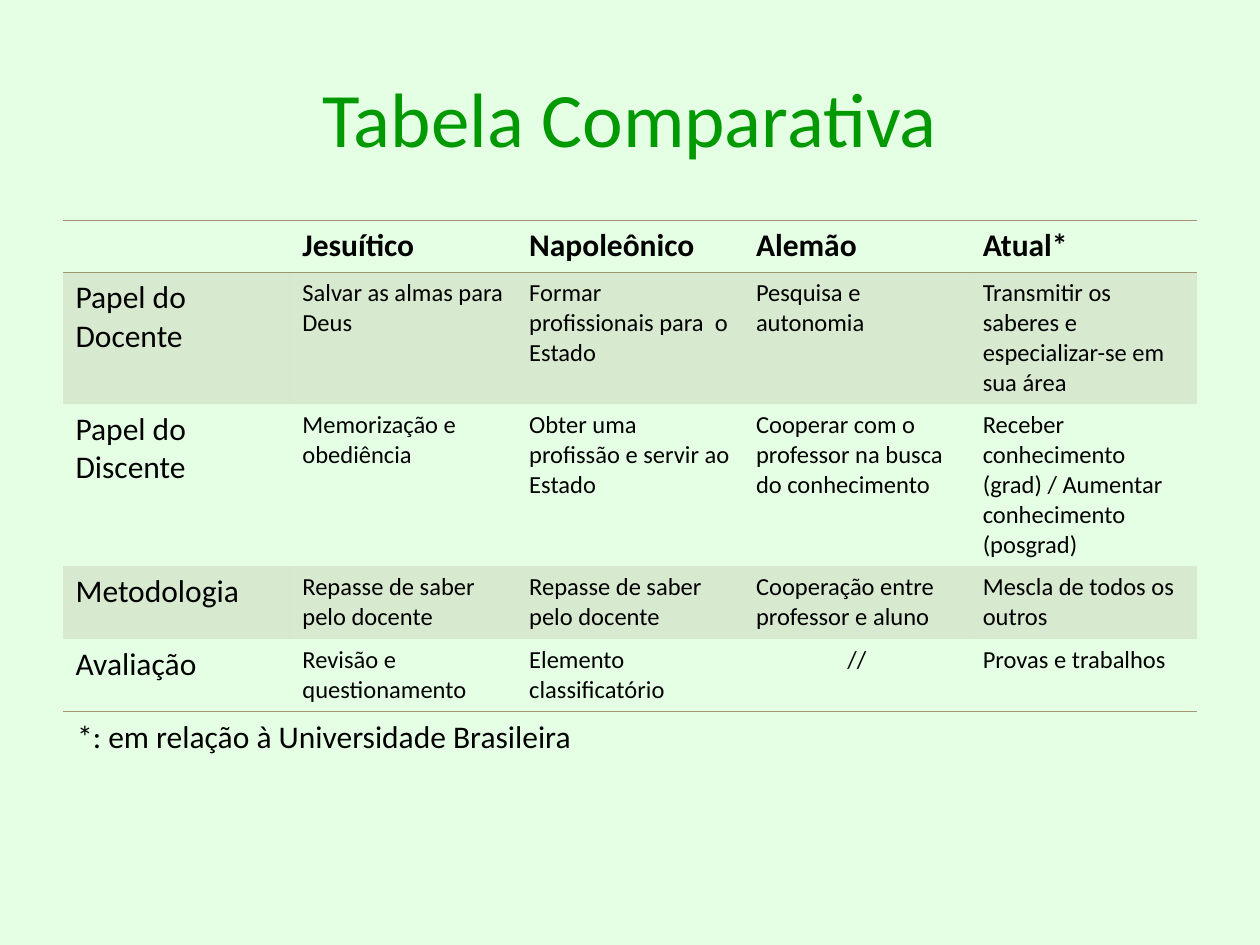
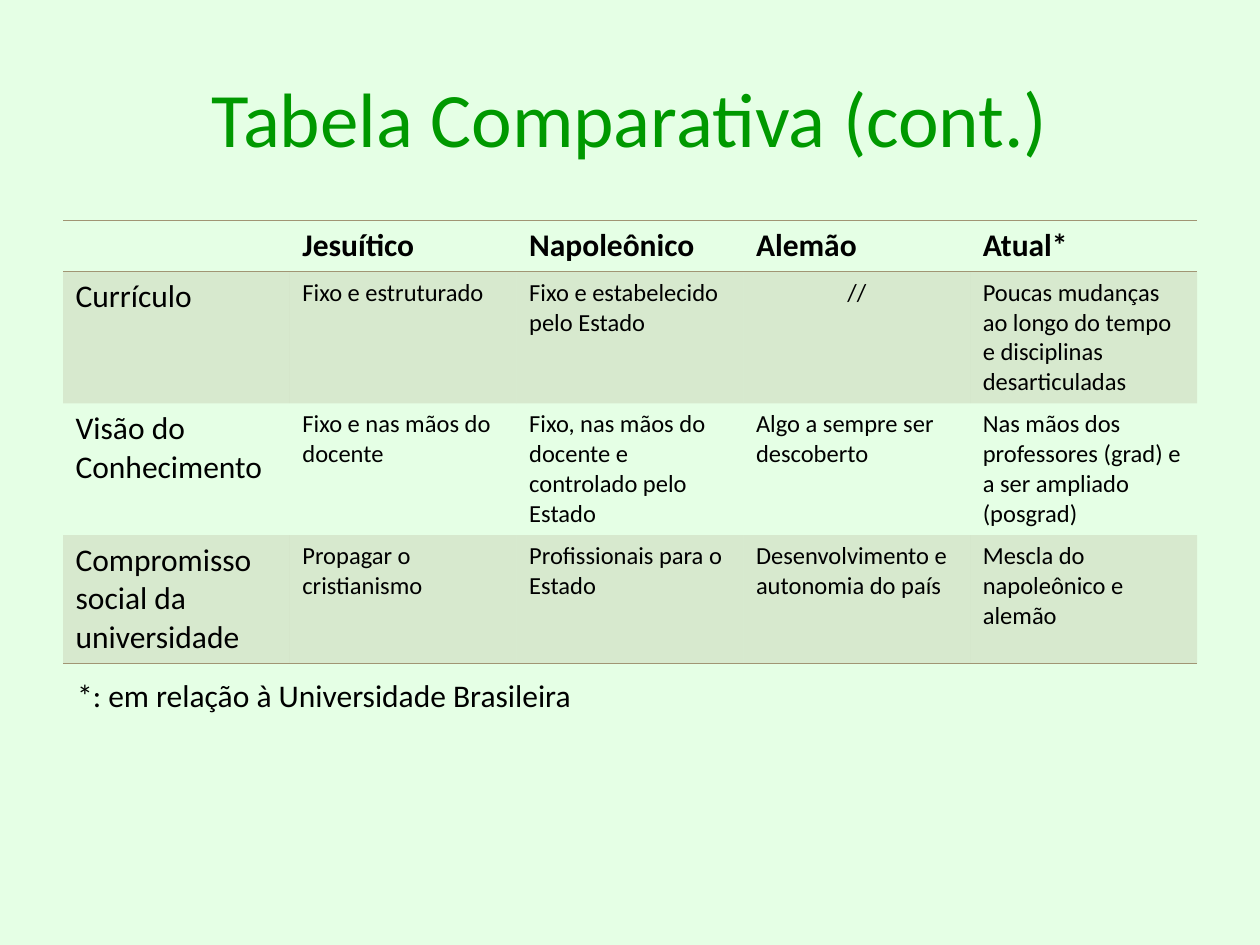
"""Build two slides comparing university models in tables."""
from lxml.etree import SubElement
from pptx import Presentation
from pptx.dml.color import RGBColor
from pptx.enum.text import MSO_ANCHOR, PP_ALIGN
from pptx.oxml import parse_xml
from pptx.oxml.ns import nsdecls, qn
from pptx.util import Pt

FONT = "Calibri"
PAGE_GREEN = "E5FFE5"
TITLE_GREEN = "009900"
BLACK = "000000"
BAND = "A19574"
NO_GRID_STYLE = "{2D5ABB26-0587-4C30-8999-92F81FD0307C}"
LEFT, TABLE_TOP, TABLE_WIDTH = 36, 126, 648
HEADINGS = ["", "Jesuítico", "Napoleônico", "Alemão", "Atual*"]
FOOTNOTE = "*: em relação à Universidade Brasileira"

PAGES = [
    {
        "title": "Tabela Comparativa",
        "heights": [29.6, 75.4, 92.6, 41.5, 41.5],
        "note_top": 406,
        "rows": [
            ["Papel do Docente", "Salvar as almas para Deus",
             "Formar profissionais para  o Estado", "Pesquisa e autonomia",
             "Transmitir os saberes e especializar-se em sua área"],
            ["Papel do Discente", "Memorização e obediência",
             "Obter uma profissão e servir ao Estado",
             "Cooperar com o professor na busca do conhecimento",
             "Receber conhecimento (grad) / Aumentar conhecimento (posgrad)"],
            ["Metodologia", "Repasse de saber pelo docente",
             "Repasse de saber pelo docente",
             "Cooperação entre professor e aluno", "Mescla de todos os outros"],
            ["Avaliação", "Revisão e questionamento",
             "Elemento classificatório", "//", "Provas e trabalhos"],
        ],
    },
    {
        "title": "Tabela Comparativa (cont.)",
        "heights": [29.2, 75.3, 75.3, 73.2],
        "note_top": 383,
        "rows": [
            ["Currículo", "Fixo e estruturado", "Fixo e estabelecido pelo Estado",
             "//", "Poucas mudanças ao longo do tempo e disciplinas desarticuladas"],
            ["Visão do Conhecimento", "Fixo e nas mãos do docente",
             "Fixo, nas mãos do docente e controlado pelo Estado",
             "Algo a sempre ser descoberto",
             "Nas mãos dos professores (grad) e a ser ampliado (posgrad)"],
            ["Compromisso social da universidade", "Propagar o cristianismo",
             "Profissionais para o Estado", "Desenvolvimento e autonomia do país",
             "Mescla do napoleônico e alemão"],
        ],
    },
]


def color(value):
    return RGBColor.from_string(value)


def write(frame, text, size=18, ink=BLACK, bold=False, align=PP_ALIGN.LEFT):
    frame.word_wrap = True
    para = frame.paragraphs[0]
    para.alignment = align
    span = para.add_run()
    span.text = text
    span.font.name = FONT
    span.font.size = Pt(size)
    span.font.bold = bold
    span.font.color.rgb = color(ink)


deck = Presentation()
deck.slide_width, deck.slide_height = Pt(720), Pt(540)

for content in PAGES:
    page = deck.slides.add_slide(deck.slide_layouts[6])
    page.background.fill.solid()
    page.background.fill.fore_color.rgb = color(PAGE_GREEN)

    title = page.shapes.add_textbox(Pt(LEFT), Pt(21.6), Pt(TABLE_WIDTH), Pt(90))
    title.text_frame.vertical_anchor = MSO_ANCHOR.MIDDLE
    write(title.text_frame, content["title"], size=44, ink=TITLE_GREEN,
          align=PP_ALIGN.CENTER)

    rows = [HEADINGS] + content["rows"]
    heights = content["heights"]
    last = len(rows) - 1
    table = page.shapes.add_table(
        len(rows), len(HEADINGS), Pt(LEFT), Pt(TABLE_TOP),
        Pt(TABLE_WIDTH), Pt(sum(heights))).table
    table._tbl.tblPr.find(qn("a:tableStyleId")).text = NO_GRID_STYLE
    table.horz_banding = False

    for row_index, texts in enumerate(rows):
        table.rows[row_index].height = Pt(heights[row_index])
        ruled = set()
        if row_index <= 1:
            ruled.add("lnT")
        if row_index in (0, last):
            ruled.add("lnB")
        for column_index, text in enumerate(texts):
            cell = table.cell(row_index, column_index)
            if text:
                write(cell.text_frame, text,
                      size=14 if row_index and column_index else 18,
                      bold=row_index == 0,
                      align=PP_ALIGN.CENTER if text == "//" else PP_ALIGN.LEFT)
            properties = cell._tc.get_or_add_tcPr()
            if row_index % 2:
                cell.fill.solid()
                cell.fill.fore_color.rgb = color(BAND)
                tint = properties.find(qn("a:solidFill")).find(qn("a:srgbClr"))
                SubElement(tint, qn("a:alpha"), val="20000")
            else:
                cell.fill.background()
            for position, side in enumerate(("lnL", "lnR", "lnT", "lnB")):
                paint = "<a:noFill/>"
                if side in ruled:
                    paint = f'<a:solidFill><a:srgbClr val="{BAND}"/></a:solidFill>'
                border = f'<a:{side} {nsdecls("a")} w="{Pt(0.45)}">{paint}</a:{side}>'
                properties.insert(position, parse_xml(border))

    note = page.shapes.add_textbox(
        Pt(37), Pt(content["note_top"]), Pt(345.6), Pt(29))
    write(note.text_frame, FOOTNOTE)

deck.save("out.pptx")
